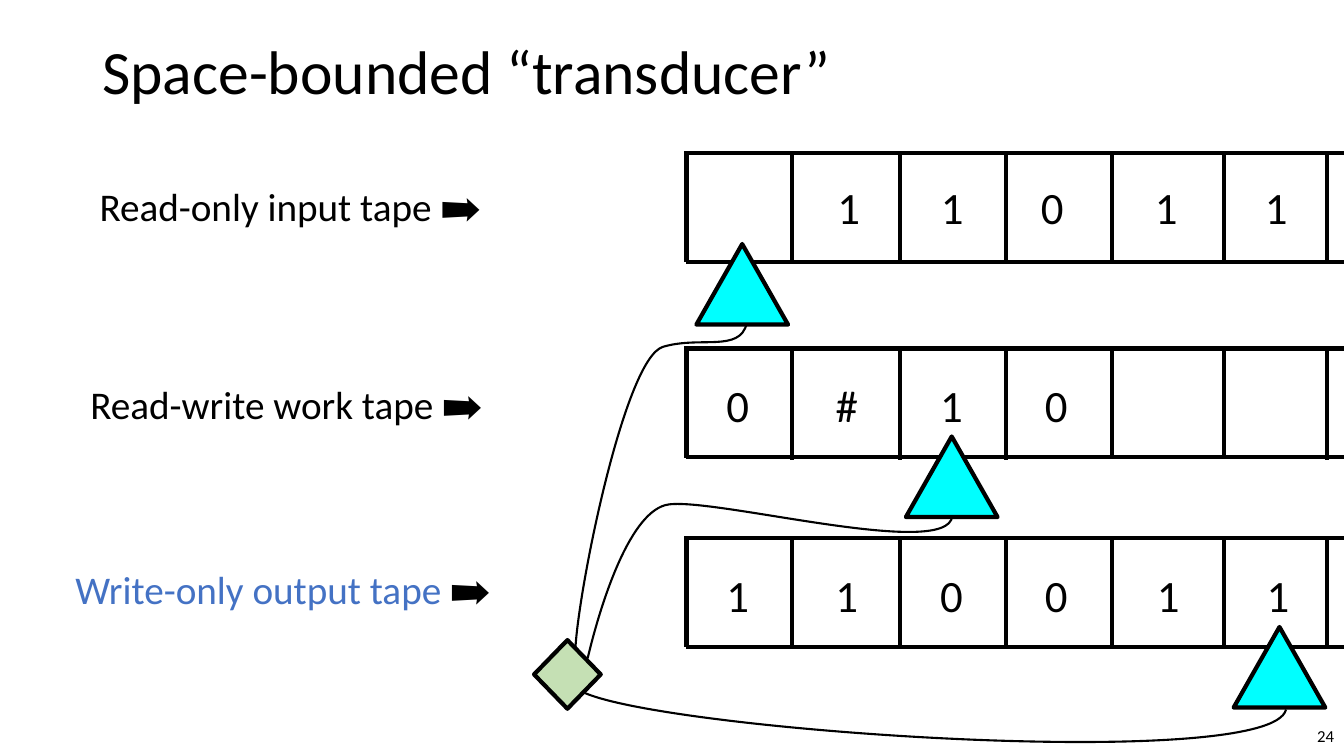
import pptx
import pptx.util
from pptx.dml.color import RGBColor
from pptx.enum.shapes import MSO_CONNECTOR, MSO_SHAPE
from pptx.enum.text import MSO_ANCHOR, PP_ALIGN
from pptx.oxml.ns import qn
from lxml import etree

Cm, Pt = pptx.util.Cm, pptx.util.Pt
BLACK = RGBColor(0x00, 0x00, 0x00)
BLUE = RGBColor(0x44, 0x72, 0xC4)
CYAN = RGBColor(0x00, 0xFF, 0xFF)
GREEN = RGBColor(0xC5, 0xE0, 0xB4)

# Content; lengths in cm
WIDE, HIGH = 33.87, 19.05
TITLE = "Space-bounded “transducer”"
NUMBER = "24"
ARROW = "➡"
# label, colour, label box, tape top, symbols, symbol centres and top, head
MIDS = [18.59, 21.34, 23.98, 26.62, 29.44, 32.21]
TAPES = [
    ("Read-only input tape ", BLACK, (2.26, 4.47, 10.87, 1.45), 3.86,
     "11011", [21.39, 24, 26.52, 29.39, 32.16], 4.41, (17.55, 6.15)),
    ("Read-write work tape ", BLACK, (2.03, 9.47, 10.92, 1.45), 8.78,
     "0#10", MIDS, 9.4, (22.83, 11)),
    ("Write-only output tape ", BLUE, (1.65, 14.12, 11.56, 1.45), 13.56,
     "110011", MIDS, 14.18, (31.09, 15.8)),
]
EDGES = [17.3, 19.96, 22.68, 25.35, 28.02, 30.84, 33.45]
RAISED = (0, 4, 5)  # edges that start slightly higher
TALL = 2.74
# wires as chains of cubic Bezier points, from head to control
WIRES = [
    [(18.82, 8.15), (18.64, 8.89), (17.65, 8.46), (16.71, 8.74),
     (15.75, 9.02), (14.58, 14.81), (14.5, 16.36)],
    [(24, 13), (23.9, 14.15), (17.73, 12.45), (16.76, 12.73),
     (15.82, 13), (15.11, 15.32), (14.81, 16.59)],
    [(32.41, 17.88), (32.05, 19.46), (16.89, 18.44), (14.71, 17.45)],
]
STEPS = 20

deck = pptx.Presentation()
deck.slide_width, deck.slide_height = Cm(WIDE), Cm(HIGH)
slide = deck.slides.add_slide(deck.slide_layouts[6])
shapes = slide.shapes


def add_text(parts, box, size, align=PP_ALIGN.LEFT, anchor=MSO_ANCHOR.TOP):
    """Add one paragraph made of (text, colour) parts."""
    frame = shapes.add_textbox(*map(Cm, box)).text_frame
    frame.word_wrap = True
    frame.vertical_anchor = anchor
    para = frame.paragraphs[0]
    para.alignment = align
    for text, color in parts:
        run = para.add_run()
        run.text = text
        run.font.name = "Calibri"
        run.font.size = Pt(size)
        run.font.color.rgb = color
    return para


def add_line(x1, y1, x2, y2):
    line = shapes.add_connector(MSO_CONNECTOR.STRAIGHT,
                                Cm(x1), Cm(y1), Cm(x2), Cm(y2))
    line.line.color.rgb = BLACK
    line.line.width = Pt(3)
    etree.SubElement(line._element.spPr, qn("a:effectLst"))


def add_solid(kind, box, color):
    shape = shapes.add_shape(kind, *map(Cm, box))
    shape.shadow.inherit = False
    shape.fill.solid()
    shape.fill.fore_color.rgb = color
    shape.line.color.rgb = BLACK
    shape.line.width = Pt(3)


def bezier(a, b, c, d, t):
    u = 1 - t
    return tuple(Cm(u**3 * p + 3 * u * u * t * q + 3 * u * t * t * r + t**3 * s)
                 for p, q, r, s in zip(a, b, c, d))


def add_wire(knots):
    # sampled points give the bounds, then true curves replace them
    points = [bezier(*knots[i:i + 4], n / STEPS)
              for i in range(0, len(knots) - 1, 3)
              for n in range(1, STEPS + 1)]
    x, y = knots[0]
    outline = shapes.build_freeform(Cm(x), Cm(y))
    outline.add_line_segments(points, close=False)
    wire = outline.convert_to_shape()
    curve = next(wire._element.iter(qn("a:path")))
    for part in list(curve):
        curve.remove(part)
    for i, (x, y) in enumerate(knots):
        if i == 0:
            part = etree.SubElement(curve, qn("a:moveTo"))
        elif i % 3 == 1:
            part = etree.SubElement(curve, qn("a:cubicBezTo"))
        etree.SubElement(part, qn("a:pt"), x=str(Cm(x) - wire.left),
                         y=str(Cm(y) - wire.top))
    wire.shadow.inherit = False
    wire.fill.background()
    wire.line.color.rgb = BLACK
    wire.line.width = Pt(1.5)


# Title and slide number
title = add_text([(TITLE, BLACK)], (2.33, 0.03, 29.21, 3.68), 44,
                 anchor=MSO_ANCHOR.MIDDLE)
title.line_spacing = 0.9
add_text([(NUMBER, BLACK)], (26.25, 18.03, 7.62, 1.02), 12,
         PP_ALIGN.RIGHT, MSO_ANCHOR.MIDDLE)

# Tapes with labels, symbols and heads
for label, color, box, top, marks, mids, level, head in TAPES:
    add_text([(label, color), (ARROW, BLACK)], box, 28)
    for y in (top, top + TALL):
        add_line(EDGES[0], y, WIDE, y)
    for i, x in enumerate(EDGES):
        start = top - 0.05 if i in RAISED else top
        add_line(x, start, x, start + 2.8)
    for mid, mark in zip(mids, marks):
        add_text([(mark, BLACK)], (mid - 0.74, level, 1.48, 1.62),
                 32, PP_ALIGN.CENTER)
    add_solid(MSO_SHAPE.ISOSCELES_TRIANGLE, (*head, 2.31, 2.03), CYAN)

# Wires and control
for knots in WIRES:
    add_wire(knots)
add_solid(MSO_SHAPE.DIAMOND, (13.46, 16.13, 1.68, 1.73), GREEN)

deck.save("out.pptx")
